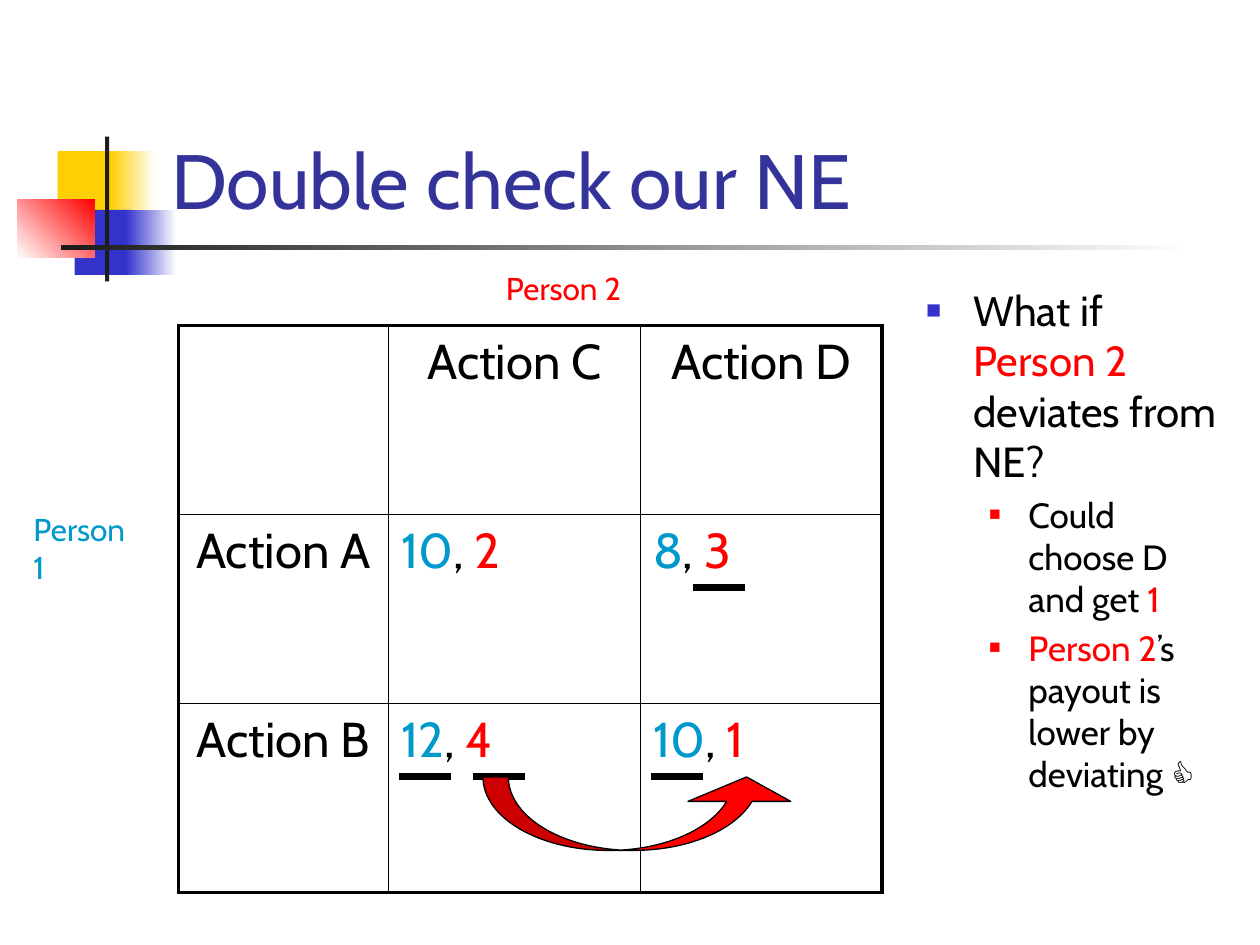
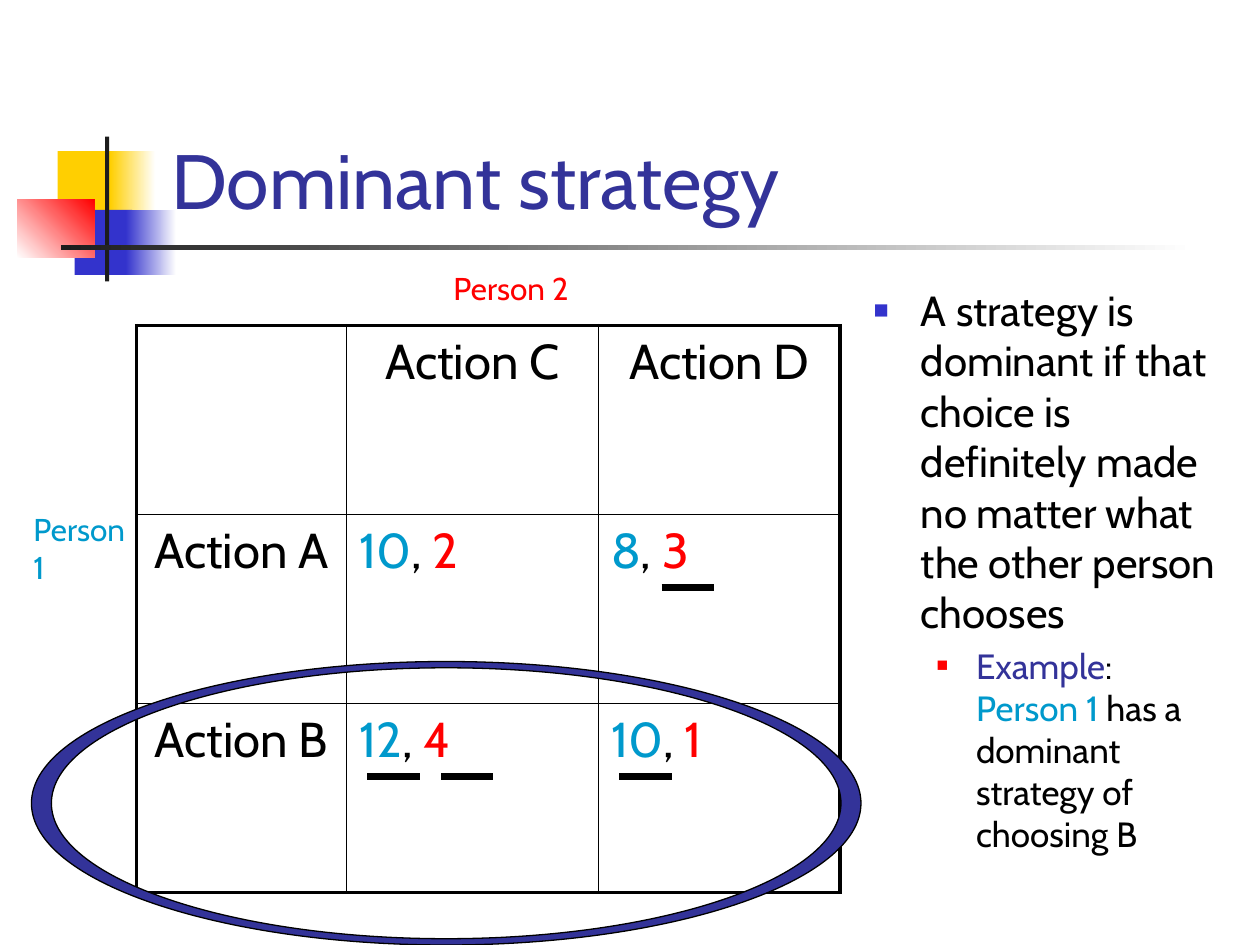
from lxml.etree import SubElement
from pptx import Presentation
from pptx.dml.color import RGBColor
from pptx.enum.shapes import MSO_CONNECTOR as CONN, MSO_SHAPE as SHAPE
from pptx.enum.text import MSO_ANCHOR as ANCHOR, MSO_AUTO_SIZE as AUTO, PP_ALIGN as ALIGN
from pptx.oxml import parse_xml
from pptx.oxml.ns import nsdecls, qn
from pptx.util import Inches, Pt

rgb = RGBColor.from_string
BLACK, WHITE, INK = "000000", "FFFFFF", "1C1C1C"
RED, BLUE, NAVY, SKY, GOLD = "FF0000", "3333CC", "333399", "0099CC", "FFCF01"
FONT = "Cabin"
COLS, ROWS = 120, 90
COL_WIDTHS, ROW_HEIGHT = (20, 24, 23), 18


def grid(*units):
    return [Inches(u / 12) for u in units]


def write(p, runs, size):
    for text, color in runs:
        r = p.add_run()
        r.text = text
        for key, value in {"name": FONT, "size": Pt(size)}.items():
            setattr(r.font, key, value)
        r.font.color.rgb = rgb(color)


prs = Presentation()
prs.slide_width, prs.slide_height = grid(COLS, ROWS)
layout = prs.slide_layouts[1]

decor = [
    ((5.5, 14.4, 5.8, 6.2), [GOLD], 0),
    ((10.5, 14.4, 4.3, 6.2), [GOLD, WHITE], 0),
    ((7.1, 20, 5.5, 6.2), [BLUE], 0),
    ((12, 20, 4.8, 6.2), [BLUE, WHITE], 0),
    ((1.65, 19, 7.35, 5.55), [WHITE, RED], 45),
    ((10, 13, 0.4, 13.8), [INK], 0),
    ((5.8, 23.35, 108, 0.42), [INK, WHITE], 0),
]
matrix = [
    [[], [("Action C", BLACK)], [("Action D", BLACK)]],
    [[("Action A", BLACK)], [("10", SKY), (", ", BLACK), ("2", RED)],
     [("8", SKY), (", ", BLACK), ("3", RED)]],
    [[("Action B", BLACK)], [("12", SKY), (", ", BLACK), ("4", RED)],
     [("10", SKY), (", ", BLACK), ("1", RED)]],
]
underlines = [(0, 74), (24, 74), (28, 56), (7, 74)]
levels = [
    {"size": 24, "margin": 4.5, "hang": 4.5, "before": 0, "bullet": BLUE, "share": 60},
    {"size": 20, "margin": 9.75, "hang": 3.75, "before": 4, "bullet": RED, "share": 55},
]
slides = [
    {"title": "Double check our NE", "table": 17, "person": 47, "mark": 38,
     "body": (87, 26.5, 30.5, 54), "inset": 1.2, "bullets": [
         (0, [("What if ", BLACK), ("Person 2 ", RED), ("deviates from NE?", BLACK)]),
         (1, [("Could choose D and get ", BLACK), ("1", RED)]),
         (1, [("Person 2", RED), ("’s payout is lower by deviating 👍", BLACK)])]},
    {"title": "Dominant strategy", "table": 13, "person": 42, "mark": 35,
     "body": (82, 26.5, 36, 58.5), "inset": 1.9, "bullets": [
         (0, [("A strategy is dominant if that choice is definitely made no matter "
               "what the other person chooses", BLACK)]),
         (1, [("Example", NAVY), (": ", BLACK), ("Person 1 ", SKY),
              ("has a dominant strategy of choosing B", BLACK)])]},
]

for item in slides:
    s = prs.slides.add_slide(layout)
    title, body = s.placeholders[0], s.placeholders[1]
    for sp, box in ((title, (15.1, 2.8, 102.2, 19.2)), (body, item["body"])):
        sp.left, sp.top, sp.width, sp.height = grid(*box)
        sp.text_frame.auto_size = AUTO.NONE
    title.text_frame.vertical_anchor = ANCHOR.BOTTOM
    p = title.text_frame.paragraphs[0]
    p.alignment = ALIGN.LEFT
    write(p, [(item["title"], NAVY)], 44)

    tf = body.text_frame
    tf.margin_right = grid(item["inset"])[0]
    for i, (level, runs) in enumerate(item["bullets"]):
        p = tf.add_paragraph() if i else tf.paragraphs[0]
        style = levels[level]
        p.level = level
        p.space_before = Pt(style["before"])
        write(p, runs, style["size"])
        pPr = p._p.get_or_add_pPr()
        margin, hang = grid(style["margin"], style["hang"])
        pPr.set("marL", str(margin))
        pPr.set("indent", str(-hang))
        SubElement(SubElement(pPr, qn("a:buClr")), qn("a:srgbClr"), val=style["bullet"])
        SubElement(pPr, qn("a:buSzPct"), val=str(style["share"] * 1000))
        SubElement(pPr, qn("a:buChar"), char="■")

    table = s.shapes.add_table(3, 3, *grid(item["table"], 31, sum(COL_WIDTHS), 3 * ROW_HEIGHT)).table
    table.first_row = table.horz_banding = False
    for column, width in zip(table.columns, COL_WIDTHS):
        column.width = grid(width)[0]
    for i, row in enumerate(matrix):
        table.rows[i].height = grid(ROW_HEIGHT)[0]
        for j, runs in enumerate(row):
            cell = table.cell(i, j)
            cell.fill.background()
            p = cell.text_frame.paragraphs[0]
            p.alignment = ALIGN.LEFT if i and j else ALIGN.CENTER
            write(p, runs, 28)
            tcPr = cell._tc.get_or_add_tcPr()
            outer = {"L": j == 0, "R": j == 2, "T": i == 0, "B": i == 2}
            for k, (side, edge) in enumerate(outer.items()):
                tcPr.insert(k, parse_xml(
                    f'<a:ln{side} {nsdecls("a")} w="{Pt(2.25 if edge else 1)}"><a:solidFill>'
                    f'<a:srgbClr val="{BLACK}"/></a:solidFill></a:ln{side}>'))

    for text, color, box in (("Person 1", SKY, (2, 48, 12, 8.4)),
                             ("Person 2", RED, (item["person"], 25, 17, 4.8))):
        tf = s.shapes.add_textbox(*grid(*box)).text_frame
        tf.word_wrap = True
        write(tf.paragraphs[0], [(text, color)], 18)

    for dx, y in underlines:
        x = item["mark"] + dx
        line = s.shapes.add_connector(CONN.STRAIGHT, *grid(x, y, x + 5, y))
        line.line.color.rgb = rgb(BLACK)
        line.line.width = Pt(4)
        SubElement(line.element.spPr, qn("a:effectLst"))

first, second = prs.slides
for i, (box, colors, angle) in enumerate(decor):
    sp = first.shapes.add_shape(SHAPE.RECTANGLE, *grid(*box))
    sp.shadow.inherit = False
    sp.line.fill.background()
    if len(colors) == 1:
        sp.fill.solid()
        sp.fill.fore_color.rgb = rgb(colors[0])
    else:
        sp.fill.gradient()
        sp.fill.gradient_angle = angle
        for stop, color, position in zip(sp.fill.gradient_stops, colors, (0, 1)):
            stop.color.rgb = rgb(color)
            stop.position = position
    sp.element.nvSpPr.cNvPr.set("id", str(100 + i))
    layout.shapes.element.insert(2 + i, sp.element)

arrow = first.shapes.add_shape(SHAPE.CURVED_UP_ARROW, *grid(46, 74, 30, 7))
for i, value in enumerate((0.345, 1.399, 0.333)):
    arrow.adjustments[i] = value

cx, cy, k = 42.5, 76.5, 0.55
quarters = [(-1, 0), (-1, -k), (-k, -1), (0, -1), (k, -1), (1, -k), (1, 0),
            (1, k), (k, 1), (0, 1), (-k, 1), (-1, k), (-1, 0)]
outline, hole = [[grid(cx + rx * x, cy + ry * y * turn) for x, y in quarters]
                 for rx, ry, turn in ((39.5, 13.5, 1), (37.6, 12.9, -1))]
builder = second.shapes.build_freeform(*outline[0])
builder.add_line_segments(outline[1:], close=True)
builder.move_to(*hole[0])
builder.add_line_segments(hole[1:], close=True)
ring = builder.convert_to_shape()
segments = list(ring.element.iter(qn("a:lnTo")))
for i in range(0, len(segments), 3):
    curve = parse_xml(f'<a:cubicBezTo {nsdecls("a")}/>')
    segments[i].addprevious(curve)
    for segment in segments[i:i + 3]:
        curve.append(segment[0])
        segment.getparent().remove(segment)

for sp, color in ((arrow, RED), (ring, NAVY)):
    sp.shadow.inherit = False
    sp.fill.solid()
    sp.fill.fore_color.rgb = rgb(color)
    sp.line.color.rgb = rgb(BLACK)
    sp.line.width = Pt(0.75)

prs.save("out.pptx")
